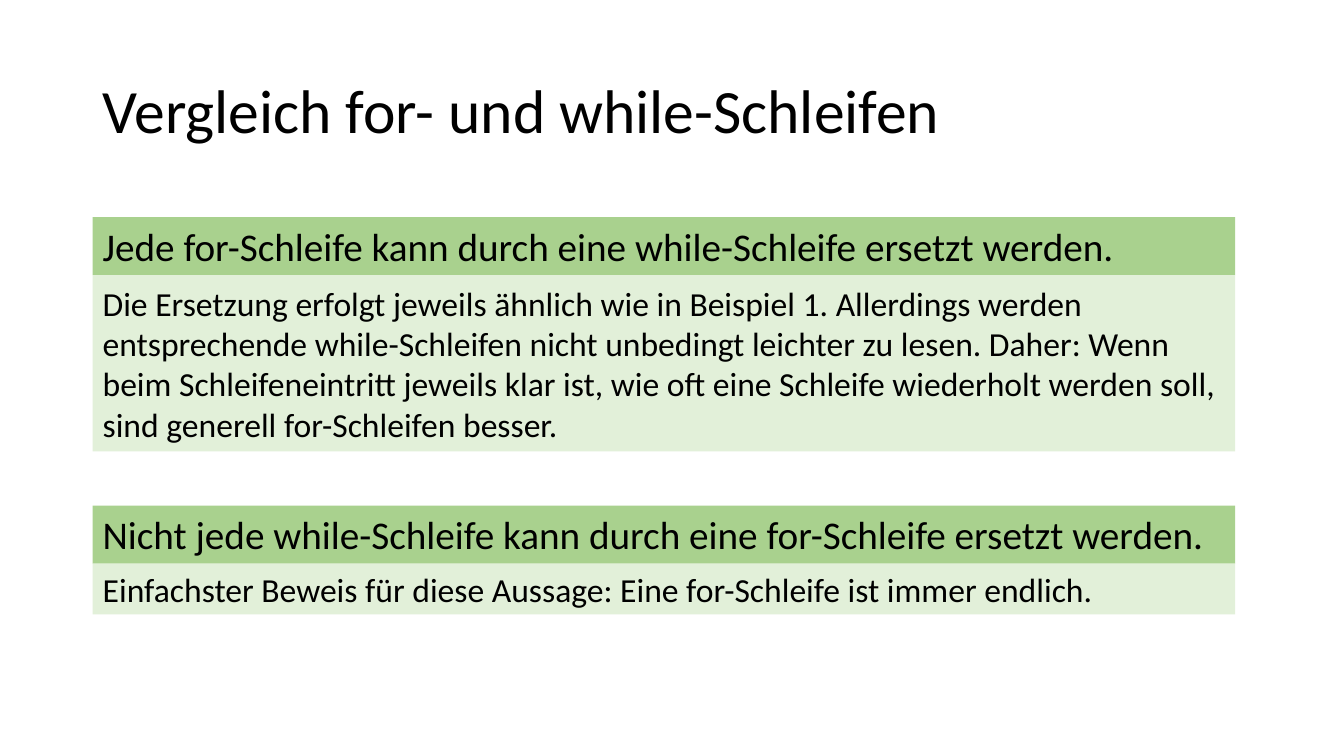
from pptx import Presentation, util as u
from pptx.dml.color import RGBColor
from pptx.enum import shapes, text

BLACK = RGBColor(0x00, 0x00, 0x00)
GREEN = RGBColor(0xA9, 0xD1, 0x8E)
PALE_GREEN = RGBColor(0xE2, 0xF0, 0xD9)

# Shares of the slide, in percent
LEFT, TITLE_WIDTH, PANEL_WIDTH = 6.9, 86.25, 85
HEADER_HEIGHT = 7.67


class Deck:
    """Holds the style and the current slide."""

    font, title_size, header_size, body_size = "Calibri", 44, 28, 24

    def __init__(self, prs):
        """Add a blank slide to the presentation."""
        self.prs = prs
        self.s = prs.slides.add_slide(prs.slide_layouts[6])

    def box(self, top, width, height):
        """Turn percentages into a position and size at the left margin."""
        across, down = self.prs.slide_width / 100, self.prs.slide_height / 100
        return [u.Emu(round(v)) for v in
                (LEFT * across, top * down, width * across, height * down)]

    def label(self, sp, words, size, anchor):
        """Fill a shape with one left-aligned paragraph and return it."""
        tf = sp.text_frame
        tf.word_wrap = True
        tf.vertical_anchor = anchor
        p = tf.paragraphs[0]
        p.alignment = text.PP_ALIGN.LEFT
        r = p.add_run()
        r.text = words
        r.font.name, r.font.size = self.font, u.Pt(size)
        r.font.color.rgb = BLACK
        return p

    def title(self, words, top, height):
        """Add the slide title."""
        sp = self.s.shapes.add_textbox(*self.box(top, TITLE_WIDTH, height))
        p = self.label(sp, words, self.title_size, text.MSO_ANCHOR.MIDDLE)
        p.line_spacing = 0.9

    def bar(self, words, top, height, fill, size, anchor=text.MSO_ANCHOR.TOP):
        """Add a filled rectangle with text and return its paragraph."""
        sp = self.s.shapes.add_shape(shapes.MSO_SHAPE.RECTANGLE,
                                     *self.box(top, PANEL_WIDTH, height))
        sp.shadow.inherit = False
        sp.fill.solid()
        sp.fill.fore_color.rgb = fill
        sp.line.fill.background()
        return self.label(sp, words, size, anchor)

    def panel(self, header, body, top, body_height,
              anchor=text.MSO_ANCHOR.TOP, space_before=0):
        """Add a statement with its explanation directly below."""
        self.bar(header, top, HEADER_HEIGHT, GREEN, self.header_size)
        p = self.bar(body, top + HEADER_HEIGHT, body_height, PALE_GREEN,
                     self.body_size, anchor)
        p.space_before = u.Pt(space_before)


prs = Presentation()
prs.slide_width, prs.slide_height = u.Inches(13.33), u.Inches(7.5)

deck = Deck(prs)
deck.title("Vergleich for- und while-Schleifen", 5.33, 19.33)
deck.panel(
    "Jede for-Schleife kann durch eine while-Schleife ersetzt werden.",
    "Die Ersetzung erfolgt jeweils ähnlich wie in Beispiel 1. Allerdings "
    "werden entsprechende while-Schleifen nicht unbedingt leichter zu lesen. "
    "Daher: Wenn beim Schleifeneintritt jeweils klar ist, wie oft eine "
    "Schleife wiederholt werden soll, sind generell for-Schleifen besser.",
    28.72, 23.33, text.MSO_ANCHOR.MIDDLE, space_before=10)
deck.panel(
    "Nicht jede while-Schleife kann durch eine for-Schleife ersetzt werden.",
    "Einfachster Beweis für diese Aussage: Eine for-Schleife ist immer "
    "endlich.",
    66.9, 6.7)

prs.save("out.pptx")
